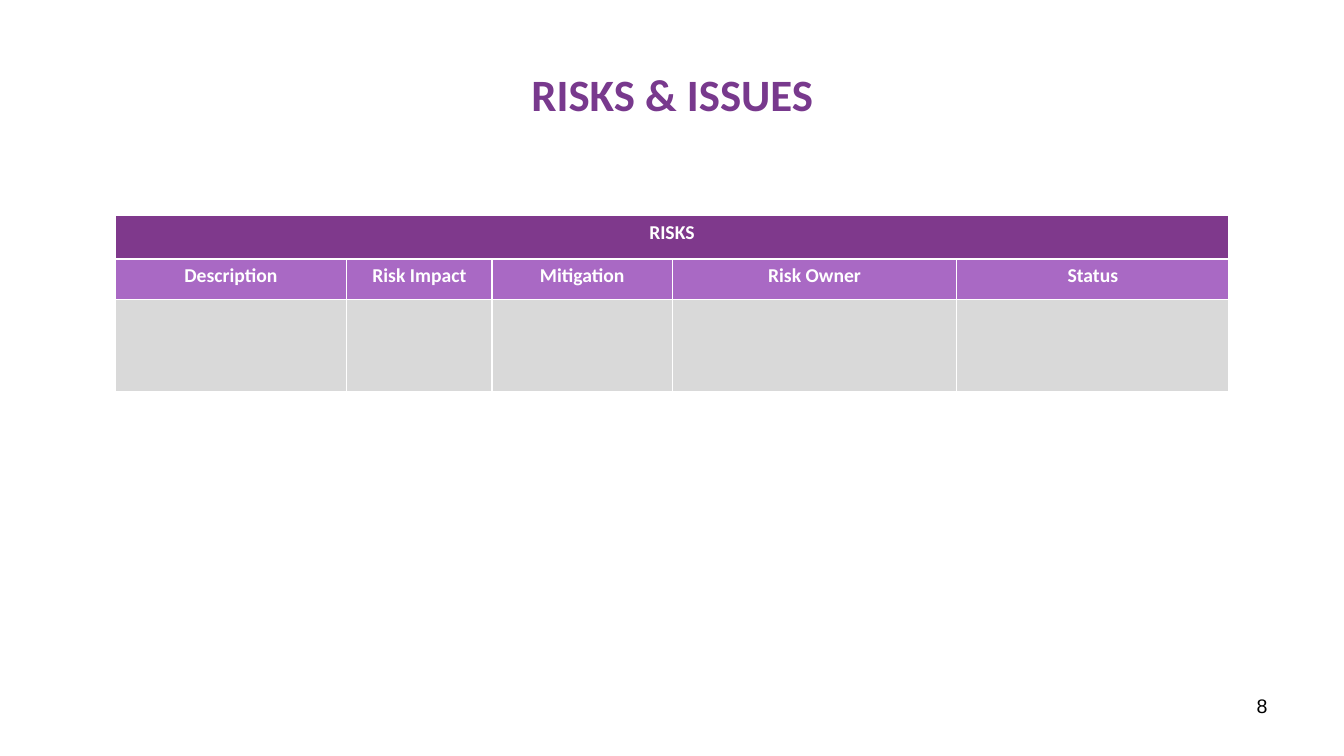
import pptx
import pptx.dml.color
import pptx.enum.text
import pptx.oxml
import pptx.oxml.ns
import pptx.util

RGBColor = pptx.dml.color.RGBColor
Inches = pptx.util.Inches
Align = pptx.enum.text.PP_ALIGN
Anchor = pptx.enum.text.MSO_ANCHOR

TITLE_PURPLE = RGBColor(0x78, 0x39, 0x8D)
BANNER_PURPLE = RGBColor(0x7F, 0x39, 0x8C)
HEADING_PURPLE = RGBColor(0xA9, 0x69, 0xC4)
BODY_GREY = RGBColor(0xD9, 0xD9, 0xD9)
WHITE = RGBColor(0xFF, 0xFF, 0xFF)
BLACK = RGBColor(0, 0, 0)

SLIDE_SIZE = (13.33, 7.5)
TITLE = "RISKS & ISSUES"
TITLE_BOX = (0.67, 0.3, 12, 1.25)
PAGE_NUMBER = "8"
PAGE_NUMBER_BOX = (9.56, 6.83, 3.11, 0.52)

TABLE_CORNER = (1.14, 2.14)
COLUMNS = [
    ("Description", 2.3),
    ("Risk Impact", 1.44),
    ("Mitigation", 1.79),
    ("Risk Owner", 2.82),
    ("Status", 2.7),
]
HEADINGS = [heading for heading, width in COLUMNS]
WIDTHS = [width for heading, width in COLUMNS]
ROWS = [
    (0.43, BANNER_PURPLE, ["RISKS"] + [""] * (len(COLUMNS) - 1)),
    (0.4, HEADING_PURPLE, HEADINGS),
    (0.91, BODY_GREY, [""] * len(COLUMNS)),
]


def write(frame, text, size, color, font, bold, alignment):
    paragraph = frame.paragraphs[0]
    paragraph.alignment = alignment
    run = paragraph.add_run()
    run.text = text
    run.font.size = pptx.util.Pt(size)
    run.font.name = font
    run.font.bold = bold
    run.font.color.rgb = color


def add_text(slide, box, anchor, *style):
    frame = slide.shapes.add_textbox(*map(Inches, box)).text_frame
    frame.word_wrap = True
    frame.vertical_anchor = anchor
    write(frame, *style)


def set_borders(cell, color, points):
    properties = cell._tc.get_or_add_tcPr()
    for index, side in enumerate(("lnL", "lnR", "lnT", "lnB")):
        line = pptx.oxml.parse_xml(
            f'<a:{side} {pptx.oxml.ns.nsdecls("a")} w="{pptx.util.Pt(points)}">'
            f'<a:solidFill><a:srgbClr val="{color}"/></a:solidFill></a:{side}>'
        )
        properties.insert(index, line)


def add_risk_table(slide):
    heights = [height for height, fill, texts in ROWS]
    box = (*TABLE_CORNER, sum(WIDTHS), sum(heights))
    table = slide.shapes.add_table(len(ROWS), len(COLUMNS), *map(Inches, box)).table
    for column, width in zip(table.columns, WIDTHS):
        column.width = Inches(width)
    for row, (height, fill, texts) in zip(table.rows, ROWS):
        row.height = Inches(height)
        for cell, text in zip(row.cells, texts):
            cell.fill.solid()
            cell.fill.fore_color.rgb = fill
            set_borders(cell, WHITE, 1)
            if text:
                write(cell.text_frame, text, 14, WHITE, "Calibri", True, Align.CENTER)
    table.cell(0, 0).merge(table.cell(0, len(COLUMNS) - 1))


def main():
    """Build the risks and issues slide."""
    presentation = pptx.Presentation()
    presentation.slide_width, presentation.slide_height = map(Inches, SLIDE_SIZE)
    slide = presentation.slides.add_slide(presentation.slide_layouts[6])
    add_text(slide, TITLE_BOX, Anchor.MIDDLE,
             TITLE, 32, TITLE_PURPLE, "Calibri", True, Align.CENTER)
    add_text(slide, PAGE_NUMBER_BOX, Anchor.TOP,
             PAGE_NUMBER, 14, BLACK, "Arial", False, Align.RIGHT)
    add_risk_table(slide)
    presentation.save("out.pptx")


if __name__ == "__main__":
    main()
